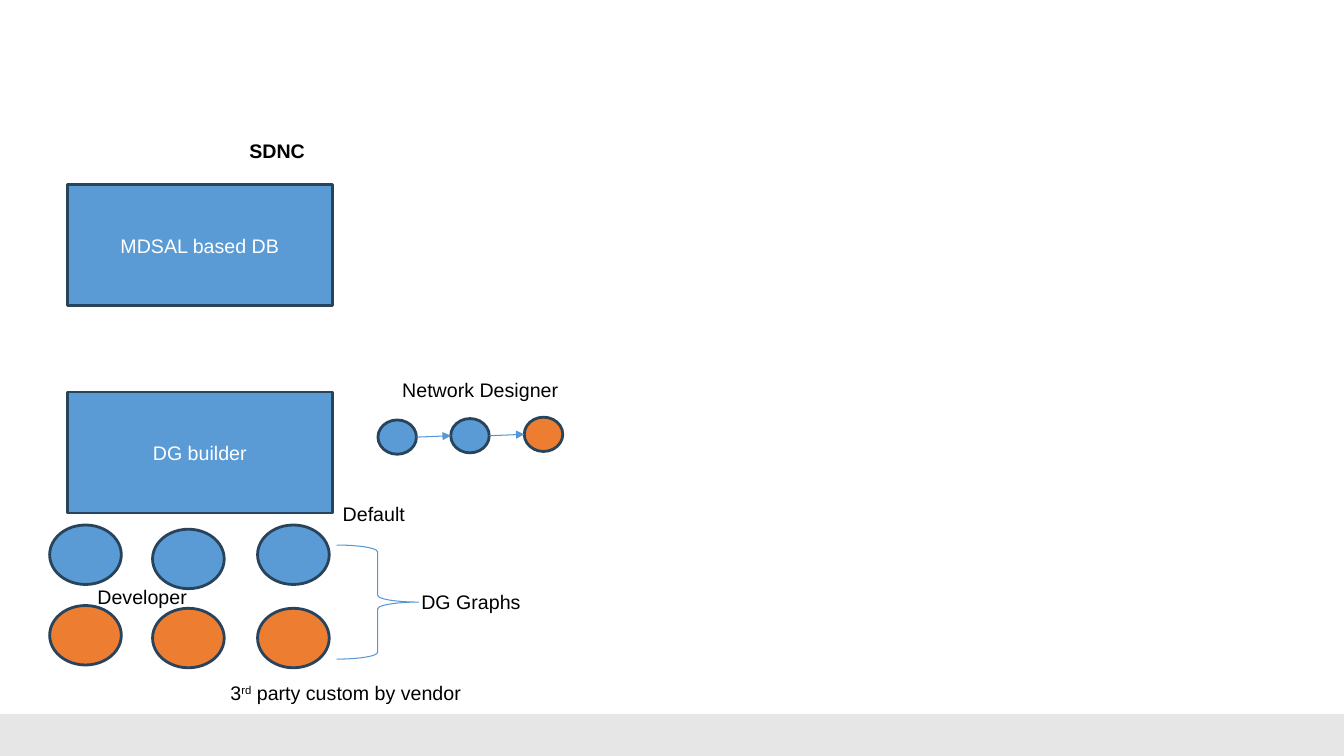
import pptx
import pptx.dml.color
import pptx.enum.shapes
import pptx.enum.text
import pptx.oxml
import pptx.oxml.ns
import pptx.util
from pptx.util import Pt

SHAPE = pptx.enum.shapes.MSO_SHAPE
COLORS = {
    "blue": "5B9BD5", "orange": "ED7D31", "outline": "28445D",
    "line": "5698D3", "footer": "E7E6E6", "white": "FFFFFF", "black": "000000",
}


def color(name):
    return pptx.dml.color.RGBColor.from_string(COLORS[name])


def add_run(paragraph, text, font_color, bold=False, superscript=False):
    run = paragraph.add_run()
    run.text = text
    run.font.name = "Arial"
    run.font.size = Pt(14)
    run.font.bold = bold
    run.font.color.rgb = color(font_color)
    if superscript:
        run._r.get_or_add_rPr().set("baseline", "30000")


def add_figure(shapes, kind, left, top, width, height, fill=None, line="outline", weight=2):
    shape = shapes.add_shape(kind, Pt(left), Pt(top), Pt(width), Pt(height))
    shape.shadow.inherit = False
    if fill:
        shape.fill.solid()
        shape.fill.fore_color.rgb = color(fill)
    else:
        shape.fill.background()
    if line:
        shape.line.color.rgb = color(line)
        shape.line.width = Pt(weight)
    else:
        shape.line.fill.background()
    return shape


def add_block(shapes, top, text):
    block = add_figure(shapes, SHAPE.RECTANGLE, 48, top, 189.5, 86.5, "blue")
    block.text_frame.vertical_anchor = pptx.enum.text.MSO_ANCHOR.MIDDLE
    paragraph = block.text_frame.paragraphs[0]
    paragraph.alignment = pptx.enum.text.PP_ALIGN.CENTER
    add_run(paragraph, text, "white")


def add_label(shapes, left, top, width, *parts, bold=False):
    """Each part is a string, or a (string, superscript) pair."""
    label = shapes.add_textbox(Pt(left), Pt(top), Pt(width), Pt(24.2))
    label.text_frame.word_wrap = True
    label.text_frame.auto_size = pptx.enum.text.MSO_AUTO_SIZE.SHAPE_TO_FIT_TEXT
    for part in parts:
        text, superscript = (part, False) if isinstance(part, str) else part
        add_run(label.text_frame.paragraphs[0], text, "black", bold, superscript)


def add_arrow(shapes, start, end):
    arrow = shapes.add_connector(
        pptx.enum.shapes.MSO_CONNECTOR.STRAIGHT, *start, *end)
    arrow.line.color.rgb = color("line")
    arrow.line.width = Pt(0.75)
    line = arrow.line._get_or_add_ln()
    tail = pptx.oxml.parse_xml(
        f'<a:tailEnd {pptx.oxml.ns.nsdecls("a")} type="triangle"/>')
    line.append(tail)
    arrow._element.spPr.append(
        pptx.oxml.parse_xml(f'<a:effectLst {pptx.oxml.ns.nsdecls("a")}/>'))


def add_chain(shapes):
    """Three nodes joined side to side by arrows."""
    chain = shapes.add_group_shape().shapes
    nodes = [
        add_figure(chain, SHAPE.OVAL, left, top, 27.5, 24.5, fill)
        for left, top, fill in [
            (270, 300, "blue"), (322, 299, "blue"), (374.5, 298, "orange")]
    ]
    for source, target in zip(nodes, nodes[1:]):
        add_arrow(chain,
                  (source.left + source.width, source.top + source.height // 2),
                  (target.left, target.top + target.height // 2))


def main():
    presentation = pptx.Presentation()
    presentation.slide_width = Pt(960)
    presentation.slide_height = Pt(540)
    slide = presentation.slides.add_slide(presentation.slide_layouts[6])
    shapes = slide.shapes

    # Footer band
    add_figure(shapes, SHAPE.RECTANGLE, 0, 510, 962, 31, "footer", line=None)

    # Main blocks
    add_block(shapes, 132, "MDSAL based DB")
    add_block(shapes, 280, "DG builder")

    # Default graphs above, custom graphs below
    for fill, tops in [("blue", (375, 378, 375)), ("orange", (432.5, 434.5, 434.5))]:
        for left, top in zip((35.5, 109, 184), tops):
            add_figure(shapes, SHAPE.OVAL, left, top, 51.2, 42.5, fill)
    add_figure(shapes, SHAPE.RIGHT_BRACE, 240.5, 389.3, 58.5, 81.5, weight=0.75, line="line")

    # Network designer
    add_chain(shapes)

    # Labels
    add_label(shapes, 293.8, 417.8, 154, "DG Graphs")
    add_label(shapes, 157.5, 483, 196.5, "3", ("rd", True), " party custom by vendor")
    add_label(shapes, 237.7, 355, 144, "Default")
    add_label(shapes, 171, 96, 67, "SDNC", bold=True)
    add_label(shapes, 62.5, 414.2, 163, "Developer")
    add_label(shapes, 280.2, 266.5, 163, "Network Designer")

    presentation.save("out.pptx")


if __name__ == "__main__":
    main()
